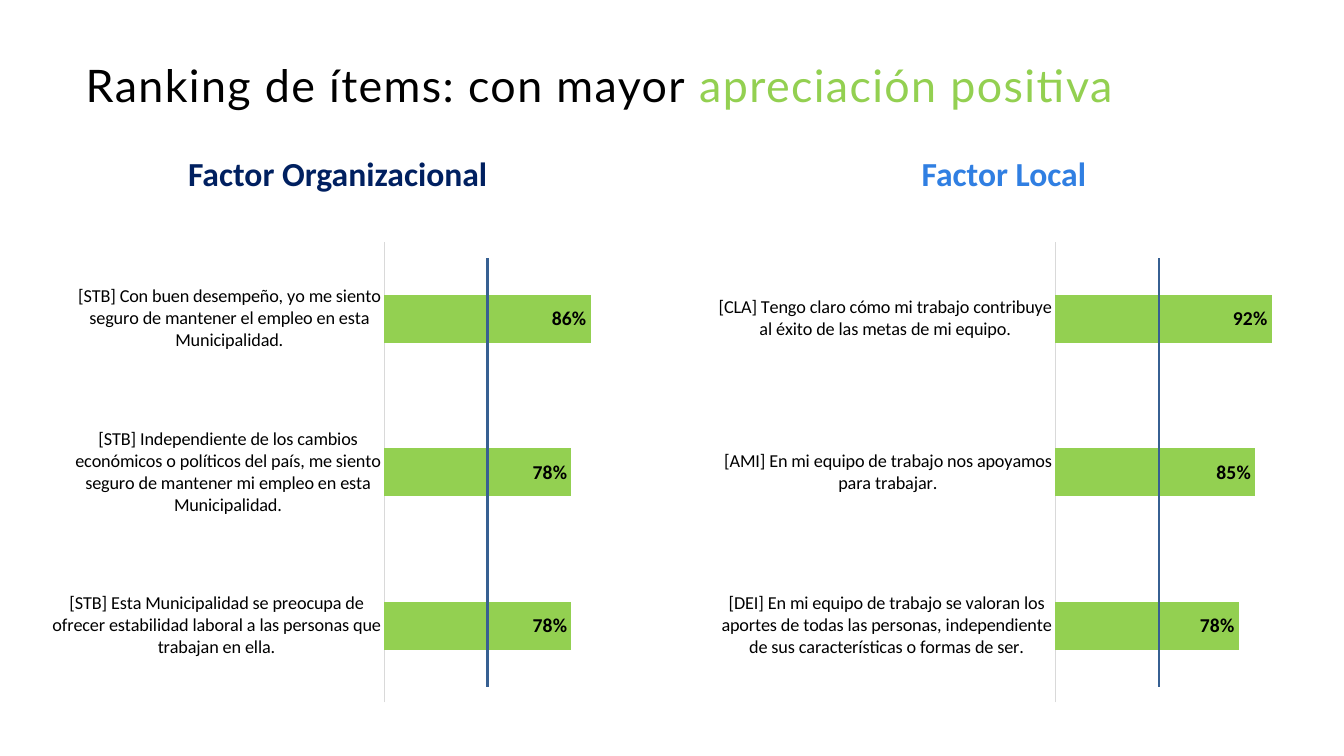
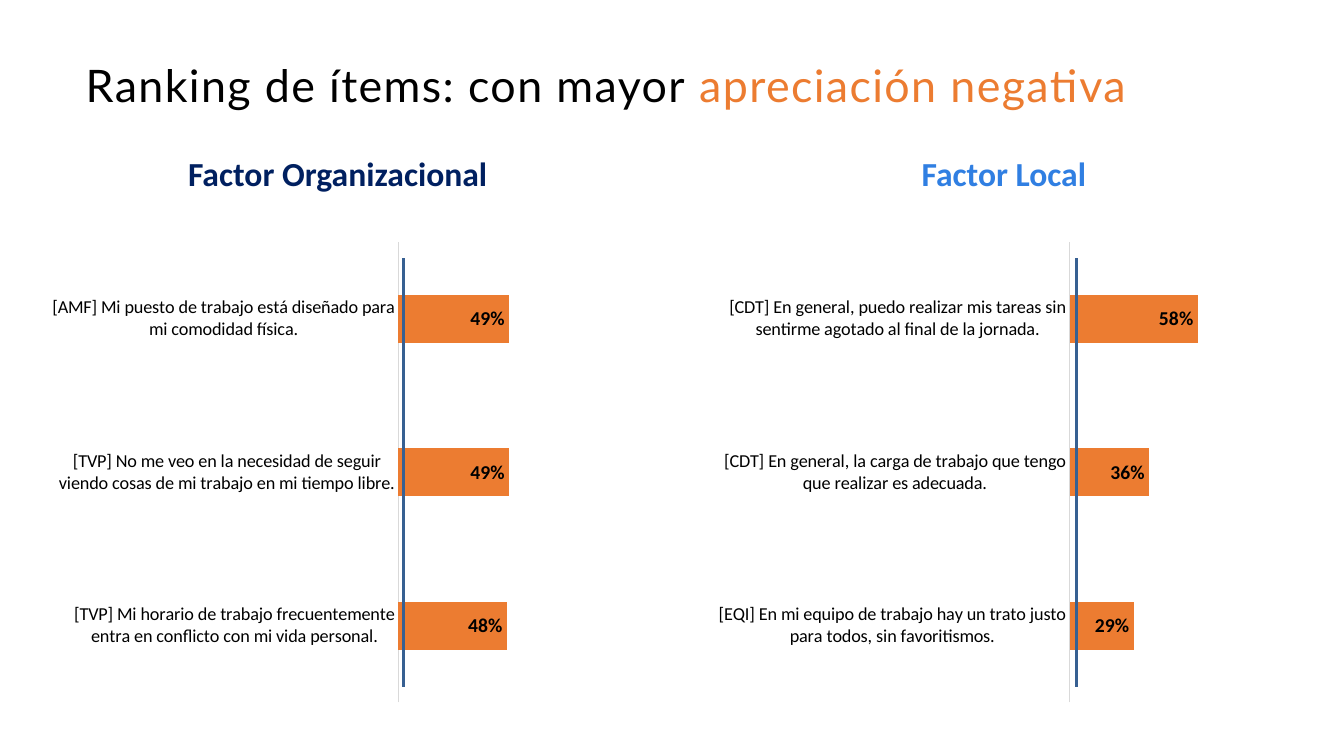
from lxml.etree import SubElement
from pptx import Presentation
from pptx.chart.data import CategoryChartData
from pptx.dml.color import RGBColor
from pptx.enum.chart import XL_CHART_TYPE, XL_LABEL_POSITION, XL_TICK_LABEL_POSITION, XL_TICK_MARK
from pptx.enum.shapes import MSO_CONNECTOR
from pptx.enum.text import MSO_ANCHOR, MSO_AUTO_SIZE, PP_ALIGN
from pptx.oxml.ns import qn
from pptx.util import Cm, Pt

# Shared style
BLACK, WHITE = "000000", "FFFFFF"
AXIS_GREY, REFERENCE_BLUE = "D9D9D9", "376092"
TITLE_FONT, BODY_FONT = "Lato", "Calibri"
TITLE_START = "Ranking de ítems: con mayor "

# Factor columns: heading, colour, heading left, chart left (cm)
FACTORS = [
    ("Factor Organizacional", "002060", 2.11, 1.02),
    ("Factor Local", "307FE2", 18.9, 17.81),
]

# Each ranking: one (reference line x in cm, items from top to bottom) per factor
RANKINGS = [
    {
        "ending": "apreciación positiva",
        "colour": "93D051",
        "factors": [
            (12.29, [
                ("[STB] Con buen desempeño, yo me siento seguro de mantener el empleo "
                 "en esta Municipalidad.", 0.86),
                ("[STB] Independiente de los cambios económicos o políticos del país, "
                 "me siento seguro de mantener mi empleo en esta Municipalidad.", 0.78),
                ("[STB] Esta Municipalidad se preocupa de ofrecer estabilidad laboral "
                 "a las personas que trabajan en ella.", 0.78),
            ]),
            (29.21, [
                ("[CLA] Tengo claro cómo mi trabajo contribuye al éxito de las metas "
                 "de mi equipo.", 0.92),
                ("[AMI] En mi equipo de trabajo nos apoyamos para trabajar.", 0.85),
                ("[DEI] En mi equipo de trabajo se valoran los aportes de todas las "
                 "personas, independiente de sus características o formas de ser.", 0.78),
            ]),
        ],
    },
    {
        "ending": "apreciación negativa",
        "colour": "EC7C31",
        "factors": [
            (10.16, [
                ("[AMF] Mi puesto de trabajo está diseñado para mi comodidad física.", 0.49),
                ("[TVP] No me veo en la necesidad de seguir viendo cosas de mi trabajo "
                 "en mi tiempo libre.", 0.49),
                ("[TVP] Mi horario de trabajo frecuentemente entra en conflicto con mi "
                 "vida personal.", 0.48),
            ]),
            (27.13, [
                ("[CDT] En general, puedo realizar mis tareas sin sentirme agotado al "
                 "final de la jornada.", 0.58),
                ("[CDT] En general, la carga de trabajo que tengo que realizar es "
                 "adecuada.", 0.36),
                ("[EQI] En mi equipo de trabajo hay un trato justo para todos, sin "
                 "favoritismos.", 0.29),
            ]),
        ],
    },
]


def rgb(colour):
    return RGBColor.from_string(colour)


def style_font(font, name, size, colour, bold=False):
    font.name, font.size, font.bold = name, Pt(size), bold
    font.color.rgb = rgb(colour)


def write_title(slide, ending, colour):
    title = slide.shapes.title
    title.left, title.top, title.width, title.height = Cm(2.16), Cm(0.86), Cm(29.92), Cm(2.69)
    frame = title.text_frame
    frame.margin_left = frame.margin_right = frame.margin_top = frame.margin_bottom = 0
    frame.vertical_anchor = MSO_ANCHOR.MIDDLE
    frame.auto_size = MSO_AUTO_SIZE.NONE
    line = frame.paragraphs[0]
    line.alignment, line.line_spacing = PP_ALIGN.LEFT, 0.9
    style_font(line.font, TITLE_FONT, 32, BLACK)
    for words, run_colour in ((TITLE_START, BLACK), (ending, colour)):
        run = line.add_run()
        run.text = words
        run.font.color.rgb = rgb(run_colour)
        run.font._element.set("spc", "100")


def add_heading(slide, heading, colour, left):
    box = slide.shapes.add_textbox(Cm(left), Cm(4.01), Cm(12.8), Cm(0.84))
    frame = box.text_frame
    frame.word_wrap, frame.vertical_anchor = True, MSO_ANCHOR.MIDDLE
    line = frame.paragraphs[0]
    line.text = heading
    line.alignment, line.line_spacing = PP_ALIGN.CENTER, 0.9
    style_font(line.font, BODY_FONT, 24, colour, bold=True)


def add_ranking_chart(slide, items, colour, left):
    # Bar charts draw their first category at the bottom
    statements, shares = zip(*reversed(items))
    data = CategoryChartData(number_format="0%")
    data.categories = statements
    data.add_series("Series 1", shares)
    chart = slide.shapes.add_chart(XL_CHART_TYPE.BAR_CLUSTERED, Cm(left), Cm(5.87),
                                   Cm(15.01), Cm(12.07), data).chart
    chart.has_legend = chart.has_title = False
    style_font(chart.font, BODY_FONT, 10, WHITE)

    # Axes
    statement_axis, share_axis = chart.category_axis, chart.value_axis
    statement_axis.major_tick_mark = statement_axis.minor_tick_mark = XL_TICK_MARK.NONE
    statement_axis.tick_label_position = XL_TICK_LABEL_POSITION.NEXT_TO_AXIS
    statement_axis.has_major_gridlines = share_axis.has_major_gridlines = False
    style_font(statement_axis.tick_labels.font, BODY_FONT, 13, BLACK)
    statement_axis.format.line.color.rgb = rgb(AXIS_GREY)
    statement_axis.format.line.width = Pt(0.75)
    share_axis.minimum_scale, share_axis.maximum_scale = 0, 1
    share_axis.visible = False

    # Bars and their labels
    plot = chart.plots[0]
    plot.gap_width, plot.vary_by_categories = 219, False
    bars = plot.series[0]
    bars.format.fill.solid()
    bars.format.fill.fore_color.rgb = rgb(colour)
    labels = bars.data_labels
    labels.show_value, labels.position = True, XL_LABEL_POSITION.INSIDE_END
    labels.number_format, labels.number_format_is_linked = "0%", False
    style_font(labels.font, BODY_FONT, 14, BLACK, bold=True)


def add_reference_line(slide, x):
    reference = slide.shapes.add_connector(MSO_CONNECTOR.STRAIGHT,
                                           Cm(x), Cm(17.3), Cm(x), Cm(6.5))
    reference.line.color.rgb = rgb(REFERENCE_BLUE)
    reference.line.width = Pt(2)
    SubElement(reference._element.spPr, qn("a:effectLst"))


def main():
    deck = Presentation()
    deck.slide_width, deck.slide_height = Cm(33.87), Cm(19.05)
    for ranking in RANKINGS:
        slide = deck.slides.add_slide(deck.slide_layouts[5])
        write_title(slide, ranking["ending"], ranking["colour"])
        for factor, (line_x, items) in zip(FACTORS, ranking["factors"]):
            heading, heading_colour, heading_left, chart_left = factor
            add_heading(slide, heading, heading_colour, heading_left)
            add_ranking_chart(slide, items, ranking["colour"], chart_left)
            add_reference_line(slide, line_x)
    deck.save("out.pptx")


if __name__ == "__main__":
    main()
